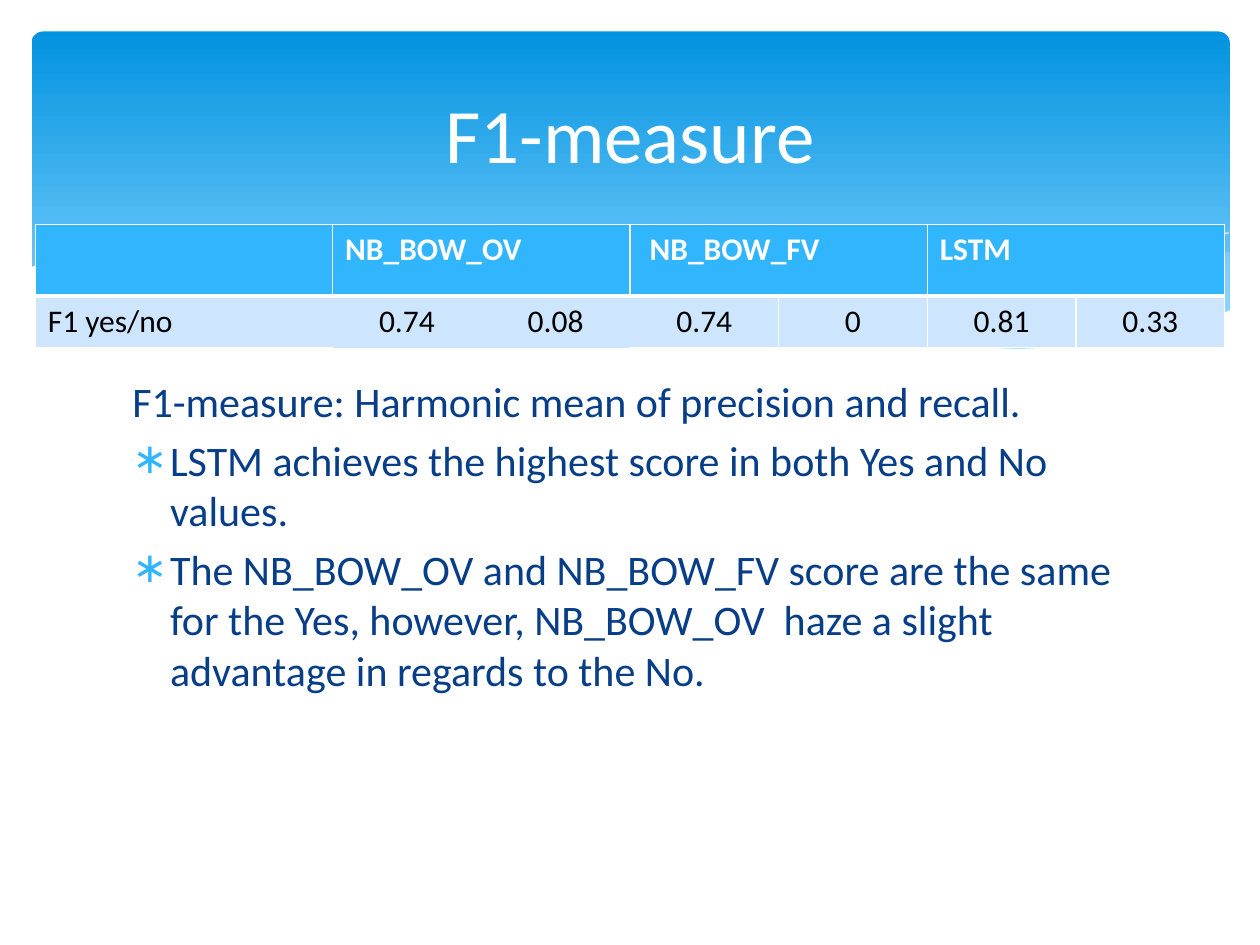
"""Builds the F1-measure slide with a wave banner, a score table and comments."""
import dataclasses

import lxml.etree
import pptx
import pptx.dml.color
import pptx.enum.shapes
import pptx.enum.text
import pptx.oxml.ns
import pptx.util
from pptx.util import Inches


@dataclasses.dataclass(frozen=True)
class Theme:
    font: str = "Calibri"
    white: str = "FFFFFF"
    black: str = "000000"
    banner_top: str = "0293E0"
    banner_bottom: str = "83D3FE"
    wave: str = "C6E7FC"
    accent: str = "31B6FD"
    row: str = "CEE5FE"
    body: str = "073E87"
    title_size: int = 44
    body_size: int = 24
    table_size: int = 18


theme = Theme()
rgb = pptx.dml.color.RGBColor.from_string
qn = pptx.oxml.ns.qn


def add_run(paragraph, text, size, color, bold=False):
    run = paragraph.add_run()
    run.text = text
    run.font.name = theme.font
    run.font.size = pptx.util.Pt(size)
    run.font.bold = bold
    run.font.color.rgb = rgb(color)


def add_wave(slide, points, fill=None, opacity=100):
    hundredths = [(x * 100, y * 100) for x, y in points]
    builder = slide.shapes.build_freeform(*hundredths[0], scale=Inches(0.01))
    builder.add_line_segments(hundredths[1:], close=fill is not None)
    shape = builder.convert_to_shape()
    shape.shadow.inherit = False
    if fill is None:
        shape.fill.background()
        shape.line.color.rgb = rgb(theme.white)
        shape.line.width = pptx.util.Pt(0)
        return
    shape.line.fill.background()
    shape.fill.solid()
    shape.fill.fore_color.rgb = rgb(fill)
    if opacity < 100:
        color = shape.element.spPr.find(qn("a:solidFill"))[0]
        lxml.etree.SubElement(color, qn("a:alpha"), val=str(opacity * 1000))


presentation = pptx.Presentation()
presentation.slide_width = Inches(10)
presentation.slide_height = Inches(7.5)
slide = presentation.slides.add_slide(presentation.slide_layouts[1])

banner = slide.shapes.add_shape(
    pptx.enum.shapes.MSO_SHAPE.ROUNDED_RECTANGLE,
    Inches(0.25), Inches(0.25), Inches(9.51), Inches(2.7))
banner.adjustments[0] = 0.034
banner.shadow.inherit = False
banner.line.fill.background()
banner.fill.gradient()
banner.fill.gradient_angle = 270
stops = zip(banner.fill.gradient_stops, (0, 0.9), (theme.banner_top, theme.banner_bottom))
for stop, position, color in stops:
    stop.position = position
    stop.color.rgb = rgb(color)

right_wave = [
    (9.76, 2), (9.48, 2.04), (9.21, 2.1), (8.61, 2.23), (8.05, 2.37), (7.53, 2.48),
    (7.06, 2.57), (6.61, 2.65), (6.91, 2.69), (7.32, 2.74), (7.69, 2.77), (8.14, 2.78),
    (8.54, 2.76), (8.89, 2.72), (9.21, 2.65), (9.49, 2.57), (9.76, 2.47)]
middle_wave = [
    (8.93, 2.73), (8.37, 2.65), (7.75, 2.54), (7.06, 2.4), (6.29, 2.22), (5.84, 2.11),
    (5.41, 2.03), (5.02, 1.96), (4.65, 1.91), (4.2, 1.87), (3.8, 1.85), (3.44, 1.86),
    (3.13, 1.88), (2.86, 1.91), (3.23, 1.96), (3.62, 2.03), (4.04, 2.11), (4.49, 2.22),
    (5.3, 2.4), (6.01, 2.55), (6.65, 2.66), (7.22, 2.74), (7.73, 2.77), (8.18, 2.78),
    (8.57, 2.77)]
long_line = [
    (3.09, 1.95), (3.35, 1.91), (3.74, 1.88), (4.16, 1.87), (4.69, 1.89), (5.33, 1.94),
    (6.08, 2.04), (6.65, 2.13), (7.27, 2.26), (7.95, 2.41), (8.69, 2.61), (9.07, 2.72)]
short_line = [
    (6.13, 2.57), (6.53, 2.46), (6.95, 2.35), (7.48, 2.23), (8.06, 2.1), (8.66, 1.99),
    (9.1, 1.92), (9.51, 1.87), (9.75, 1.85)]
white_wave = [
    (9.77, 2.46), (9.5, 2.56), (9.2, 2.65), (8.87, 2.71), (8.5, 2.75), (8.09, 2.77),
    (7.61, 2.75), (7.08, 2.7), (6.48, 2.62), (5.79, 2.5), (5.03, 2.33), (4.47, 2.2),
    (3.91, 2.07), (3.4, 1.97), (2.92, 1.9), (2.5, 1.86), (2.11, 1.84), (1.61, 1.84),
    (1.19, 1.87), (0.85, 1.93), (0.59, 1.99), (0.4, 2.05), (0.23, 2.13), (0.23, 3.29),
    (9.77, 3.29)]
add_wave(slide, right_wave, theme.wave, 29)
add_wave(slide, middle_wave, theme.wave, 40)
add_wave(slide, long_line)
add_wave(slide, short_line)
add_wave(slide, white_wave, theme.white)

rows = [
    ["", "NB_BOW_OV", "", " NB_BOW_FV", "", "LSTM", ""],
    ["F1 yes/no", "0.74", "0.08", "0.74", "0", "0.81", "0.33"]]
score_borders = ["LTB", "T", "", "RTB", "LRTB", "LRTB", "LRTB"]
table = slide.shapes.add_table(
    2, 7, Inches(0.28), Inches(1.78), Inches(9.45), Inches(0.97)).table
for index, column in enumerate(table.columns):
    column.width = Inches(1.18 if index else 2.36)
for row, height in zip(table.rows, (0.57, 0.41)):
    row.height = Inches(height)
for index in (1, 3, 5):
    table.cell(0, index).merge(table.cell(0, index + 1))

for row_index, texts in enumerate(rows):
    header = row_index == 0
    for column_index, text in enumerate(texts):
        cell = table.cell(row_index, column_index)
        cell.fill.solid()
        cell.fill.fore_color.rgb = rgb(theme.accent if header else theme.row)
        if cell.is_spanned:
            continue
        paragraph = cell.text_frame.paragraphs[0]
        if text:
            add_run(paragraph, text, theme.table_size,
                    theme.white if header else theme.black, header)
        if not header and column_index:
            paragraph.alignment = pptx.enum.text.PP_ALIGN.CENTER
        sides = "LRTB" if header else score_borders[column_index]
        properties = cell._tc.get_or_add_tcPr()
        for position, side in enumerate("LRTB"):
            width = 3 if header and side == "B" else 1
            border = lxml.etree.Element(qn(f"a:ln{side}"), w=str(pptx.util.Pt(width)))
            if side in sides:
                fill = lxml.etree.SubElement(border, qn("a:solidFill"))
                lxml.etree.SubElement(fill, qn("a:srgbClr"), val=theme.white)
            else:
                lxml.etree.SubElement(border, qn("a:noFill"))
            properties.insert(position, border)

title = slide.shapes.title
body = slide.placeholders[1]
placements = [(title, (0.5, 0.37, 9, 1.37)), (body, (0.95, 2.93, 8.1, 3.77))]
for shape, lengths in placements:
    shape.left, shape.top, shape.width, shape.height = map(Inches, lengths)
    shape.text_frame.word_wrap = True
    shape.text_frame.auto_size = pptx.enum.text.MSO_AUTO_SIZE.NONE
    shape.element.getparent().append(shape.element)

title.text_frame.vertical_anchor = pptx.enum.text.MSO_ANCHOR.MIDDLE
title_paragraph = title.text_frame.paragraphs[0]
title_paragraph.alignment = pptx.enum.text.PP_ALIGN.CENTER
add_run(title_paragraph, "F1-measure", theme.title_size, theme.white)

comments = [
    "F1-measure: Harmonic mean of precision and recall.",
    "LSTM achieves the highest score in both Yes and No values.",
    "The NB_BOW_OV and NB_BOW_FV score are the same for the Yes, however, "
    "NB_BOW_OV  haze a slight advantage in regards to the No."]
for index, text in enumerate(comments):
    frame = body.text_frame
    paragraph = frame.add_paragraph() if index else frame.paragraphs[0]
    paragraph.space_before = pptx.util.Pt(theme.body_size * 0.2)
    add_run(paragraph, text, theme.body_size, theme.body)
    properties = paragraph._p.get_or_add_pPr()
    indent = Inches(0.3 if index else 0)
    properties.set("marL", str(indent))
    properties.set("indent", str(-indent))
    if index:
        bullet_color = lxml.etree.SubElement(properties, qn("a:buClr"))
        lxml.etree.SubElement(bullet_color, qn("a:srgbClr"), val=theme.accent)
        lxml.etree.SubElement(properties, qn("a:buFont"), typeface=theme.font)
        lxml.etree.SubElement(properties, qn("a:buChar"), char="∗")
    else:
        lxml.etree.SubElement(properties, qn("a:buNone"))

presentation.save("out.pptx")
